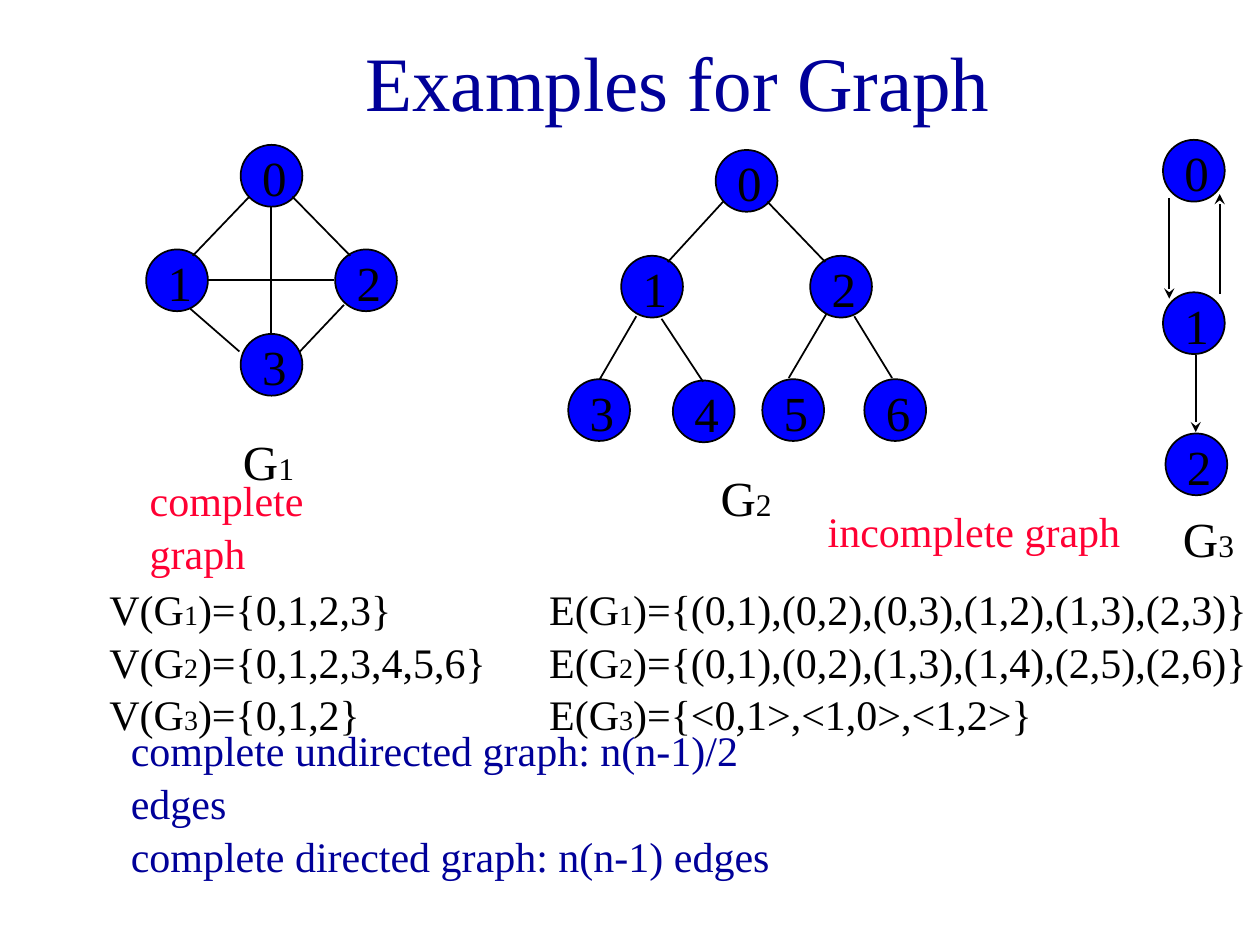
"""Build a slide with three example graphs and their vertex and edge sets."""
from lxml.etree import SubElement
from pptx import Presentation
from pptx.dml.color import RGBColor
from pptx.enum.shapes import MSO_CONNECTOR, MSO_SHAPE
from pptx.enum.text import MSO_ANCHOR, PP_ALIGN
from pptx.oxml.ns import qn
from pptx.util import Inches, Pt

BLACK = RGBColor(0x00, 0x00, 0x00)
BLUE = RGBColor(0x00, 0x00, 0xFF)
NAVY = RGBColor(0x00, 0x00, 0x99)
RED = RGBColor(0xFF, 0x00, 0x33)
FONT = "Times New Roman"
NODE_SIZE = 0.49
EDGE_SET_TAB = 3.49


def write(box, lines, size, color, small=None, align=PP_ALIGN.LEFT, tab=None, **frame_format):
    """Write the lines, with every second part between bars in the small size."""
    frame = box.text_frame
    for name, value in frame_format.items():
        setattr(frame, name, value)
    for index, line in enumerate(lines):
        para = frame.paragraphs[0] if index == 0 else frame.add_paragraph()
        para.alignment = align
        para.line_spacing = 1.05
        if tab:
            stops = SubElement(para._p.get_or_add_pPr(), qn("a:tabLst"))
            SubElement(stops, qn("a:tab"), pos=str(Inches(tab)), algn="l")
        for part, text in enumerate(line.split("|")):
            span = para.add_run()
            span.text = text
            span.font.color.rgb = color
            font_format = {"name": FONT, "size": Pt(small if part % 2 else size)}
            for name, value in font_format.items():
                setattr(span.font, name, value)


def add_text(left, top, width, height, *content, **text_format):
    box = page.shapes.add_textbox(Inches(left), Inches(top), Inches(width), Inches(height))
    write(box, *content, **text_format)


deck = Presentation()
deck.slide_width, deck.slide_height = Inches(10), Inches(7.5)
page = deck.slides.add_slide(deck.slide_layouts[6])

middle = {"vertical_anchor": MSO_ANCHOR.MIDDLE, "word_wrap": True}
add_text(0.76, 0, 9.24, 1.25, ["Examples for Graph"], 44, NAVY,
         align=PP_ALIGN.CENTER, **middle)

graphs = [
    {
        "nodes": [(1.91, 1.15), (1.16, 1.98), (2.66, 1.98), (1.91, 2.65)],
        "edges": [
            (2.15, 1.64, 2.15, 2.64), (1.65, 2.22, 2.65, 2.22),
            (1.98, 1.56, 1.53, 2.03), (2.32, 1.56, 2.78, 2.03),
            (1.51, 2.45, 1.9, 2.79), (2.73, 2.42, 2.38, 2.79),
        ],
        "directed": False,
        "label": (1.83, 3.35),
    },
    {
        "nodes": [(5.68, 1.19), (4.93, 2.03), (6.43, 2.03), (4.51, 3.01),
                  (5.34, 3.02), (6.05, 3.01), (6.86, 3.01)],
        "edges": [
            (5.74, 1.6, 5.3, 2.08), (6.09, 1.6, 6.55, 2.08),
            (5.05, 2.51, 4.76, 3.01), (5.25, 2.53, 5.58, 3.03),
            (6.56, 2.49, 6.26, 3), (6.78, 2.51, 7.08, 3),
        ],
        "directed": False,
        "label": (5.62, 3.64),
    },
    {
        "nodes": [(9.23, 1.11), (9.23, 2.32), (9.25, 3.44)],
        "edges": [(9.49, 2.82, 9.49, 3.43), (9.68, 2.33, 9.68, 1.54),
                  (9.28, 1.57, 9.28, 2.37)],
        "directed": True,
        "label": (9.29, 3.96),
    },
]

for number, graph in enumerate(graphs, 1):
    for vertex, (left, top) in enumerate(graph["nodes"]):
        node = page.shapes.add_shape(MSO_SHAPE.OVAL, Inches(left), Inches(top),
                                     Inches(NODE_SIZE), Inches(NODE_SIZE))
        node.shadow.inherit = False
        node.fill.solid()
        node.fill.fore_color.rgb = BLUE
        node.line.color.rgb = BLACK
        node.line.width = Pt(1)
        write(node, [str(vertex)], 28, BLACK,
              vertical_anchor=MSO_ANCHOR.MIDDLE, word_wrap=False)
    for ends in graph["edges"]:
        edge = page.shapes.add_connector(MSO_CONNECTOR.STRAIGHT, *map(Inches, ends))
        edge.line.color.rgb = BLACK
        edge.line.width = Pt(1)
        if graph["directed"]:
            SubElement(edge.line._get_or_add_ln(), qn("a:tailEnd"), type="stealth")
        SubElement(edge._element.spPr, qn("a:effectLst"))
    add_text(*graph["label"], 0.61, 0.57, [f"G|{number}"], 28, BLACK,
             small=18, word_wrap=False)

sets = [
    ("{0,1,2,3}", "{(0,1),(0,2),(0,3),(1,2),(1,3),(2,3)}"),
    ("{0,1,2,3,4,5,6}", "{(0,1),(0,2),(1,3),(1,4),(2,5),(2,6)}"),
    ("{0,1,2}", "{<0,1>,<1,0>,<1,2>}"),
]
set_lines = [f"V(G|{number}|)={vertices}\tE(G|{number}|)={edges}"
             for number, (vertices, edges) in enumerate(sets, 1)]
add_text(0.77, 4.56, 9.23, 1.3, set_lines, 24, BLACK, small=16,
         tab=EDGE_SET_TAB, word_wrap=True, margin_right=0)

edge_counts = ["complete undirected graph: n(n-1)/2 edges",
               "complete directed graph: n(n-1) edges"]
add_text(0.94, 5.91, 5.8, 0.9, edge_counts, 24, NAVY, **middle)
add_text(1.09, 3.92, 2.26, 0.5, ["complete graph"], 24, RED, **middle)
add_text(6.47, 3.95, 2.52, 0.5, ["incomplete graph"], 24, RED, **middle)

deck.save("out.pptx")
